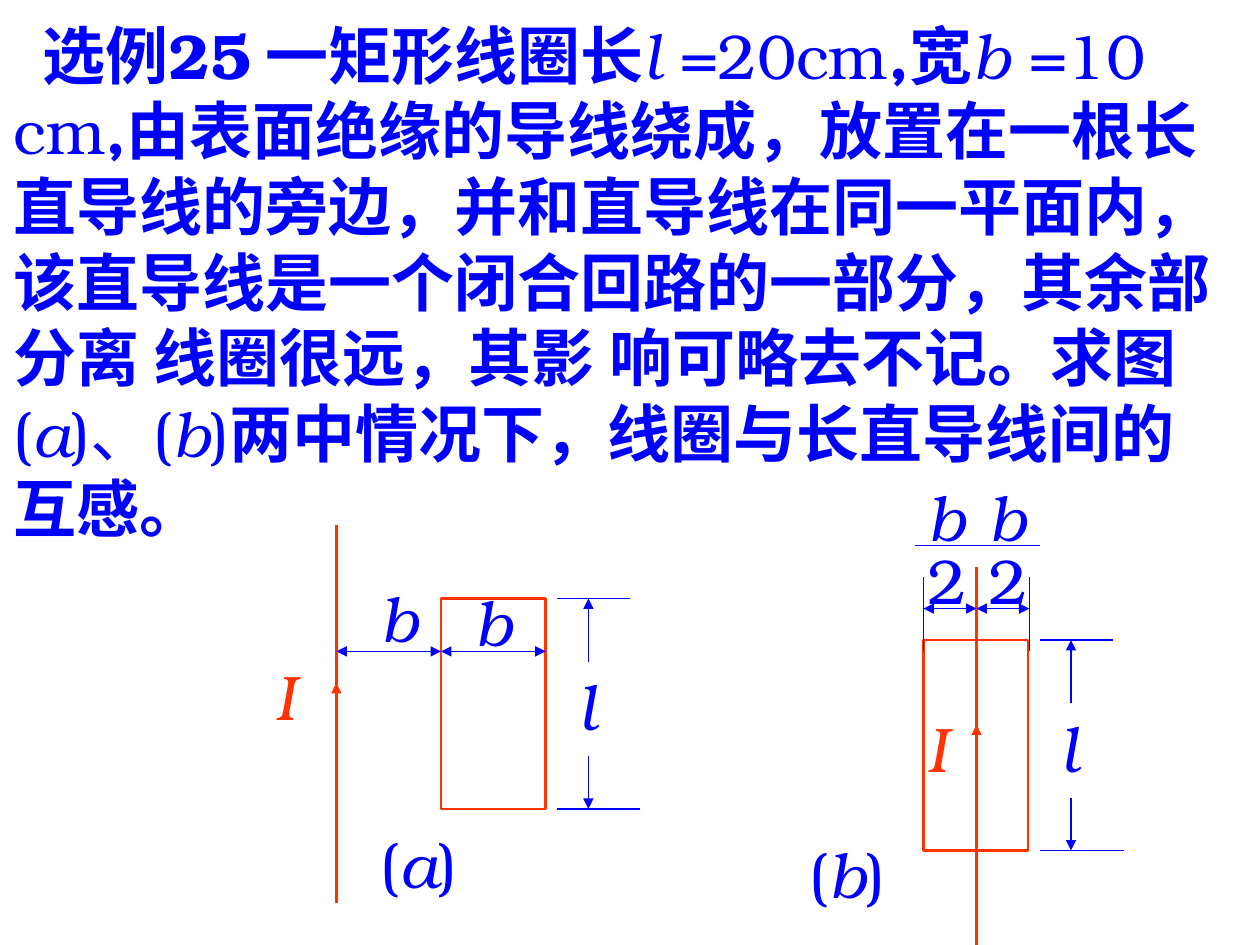
import pptx
import pptx.util
import pptx.dml.color
import pptx.enum.shapes
import pptx.enum.text
import pptx.oxml.ns
import lxml.etree

BLUE = pptx.dml.color.RGBColor(0x00, 0x00, 0xFF)
RED = pptx.dml.color.RGBColor(0xFF, 0x33, 0x00)
FONT = "TeX Gyre Bonum"
UNIT = 1 / 12
TEXT_HEIGHT = 0.7
FIRST_INDENT = 0.23
TITLE_TAB = 2.45

PROBLEM = [
    [("选例25\t一矩形线圈长", "bold"), ("l ", "italic"), ("=20cm", ""),
     (",宽", "bold"), ("b ", "italic"), ("=10", "")],
    [("cm", ""), (",由表面绝缘的导线绕成，放置在一根长", "bold")],
    [("直导线的旁边，并和直导线在同一平面内，", "bold")],
    [("该直导线是一个闭合回路的一部分，其余部", "bold")],
    [("分离 线圈很远，其影 响可略去不记。求图", "bold")],
    [("(", ""), ("a", "italic"), (")、(", ""), ("b", "italic"), (")", ""),
     ("两中情况下，线圈与长直导线间的", "bold")],
    [("互感。", "bold")],
]

COIL_WIDTH, COIL_HEIGHT = 10, 20
WIRE_TOP, WIRE_ARROW, WIRE_BOTTOM = -7, 8, 29

FIGURES = [
    {
        "origin": (42, 57), "wire": -10, "current": (-16.9, 5),
        "caption": ("a", -7, 21),
        "spans": [(-10, 0), (0, 10)], "span_row": 5,
        "labels": [("b", "italic", -6.9, -2.4), ("b", "italic", 2, -2)],
        "plain_lines": [],
    },
    {
        "origin": (88, 61), "wire": 5, "current": (-0.9, 6),
        "caption": ("b", -12, 18),
        "spans": [(0, 5), (5, 10)], "span_row": -3,
        "labels": [(text, style, column, row)
                   for text, style, row in (("b", "italic", -16), ("2", "", -10))
                   for column in (-0.9, 5)],
        "plain_lines": [(-0.9, -9, 5, -9), (5, -9, 11, -9),
                        (0, -6, 0, 1), (10, -6, 10, 1)],
    },
]


def grid(value):
    return pptx.util.Inches(round(value * UNIT, 2))


def add_text(shapes, left, top, width, height, lines, color):
    box = shapes.add_textbox(left, top, *map(pptx.util.Inches, (width, height)))
    frame = box.text_frame
    frame.word_wrap = False
    frame.auto_size = pptx.enum.text.MSO_AUTO_SIZE.SHAPE_TO_FIT_TEXT
    for index, runs in enumerate(lines):
        para = frame.paragraphs[0] if index == 0 else frame.add_paragraph()
        for text, style in runs:
            span = para.add_run()
            span.text = text
            span.font.name = FONT
            span.font.size = pptx.util.Pt(36)
            span.font.bold = style == "bold"
            span.font.italic = style == "italic"
            span.font.color.rgb = color
    return box


def add_line(shapes, ends, color, weight, arrows=()):
    line = shapes.add_connector(
        pptx.enum.shapes.MSO_CONNECTOR.STRAIGHT, *map(grid, ends))
    line.line.color.rgb = color
    line.line.width = pptx.util.Pt(weight)
    outline = line.line._get_or_add_ln()
    for name in arrows:
        lxml.etree.SubElement(outline, pptx.oxml.ns.qn("a:" + name), type="triangle")
    properties = line._element.spPr
    lxml.etree.SubElement(properties, pptx.oxml.ns.qn("a:effectLst"))


def add_figure(page, figure):
    shapes = page.shapes.add_group_shape().shapes
    left, top = figure["origin"]

    def line(x1, y1, x2, y2, color=BLUE, weight=0.75, arrows=()):
        add_line(shapes, (left + x1, top + y1, left + x2, top + y2),
                 color, weight, arrows)

    def label(runs, column, row, width, color=BLUE):
        add_text(shapes, grid(left + column), grid(top + row),
                 width, TEXT_HEIGHT, [runs], color)

    coil = shapes.add_shape(
        pptx.enum.shapes.MSO_SHAPE.RECTANGLE,
        *map(grid, (left, top, COIL_WIDTH, COIL_HEIGHT)))
    coil.shadow.inherit = False
    coil.fill.background()
    coil.line.color.rgb = RED
    coil.line.width = pptx.util.Pt(1.5)

    wire = figure["wire"]
    line(wire, WIRE_TOP, wire, WIRE_BOTTOM, RED, 1.5)
    line(wire, WIRE_ARROW, wire, WIRE_BOTTOM, RED, 1.5, ("headEnd",))

    row = figure["span_row"]
    for start, end in figure["spans"]:
        line(start, row, end, row, arrows=("headEnd", "tailEnd"))
    for ends in figure["plain_lines"]:
        line(*ends)

    line(11, 0, 18, 0)
    line(11, COIL_HEIGHT, 19, COIL_HEIGHT)
    line(14, 6, 14, 0, arrows=("tailEnd",))
    line(14, 15, 14, COIL_HEIGHT, arrows=("tailEnd",))

    label([("l", "italic")], 11.9, 6, 0.34)
    label([("I", "italic")], *figure["current"], 0.36, RED)
    for text, style, column, label_row in figure["labels"]:
        label([(text, style)], column, label_row, 0.51)
    letter, column, caption_row = figure["caption"]
    label([("(", ""), (letter, "italic"), (")", "")], column, caption_row, 0.82)


def main():
    deck = pptx.Presentation()
    deck.slide_width = pptx.util.Inches(10)
    deck.slide_height = pptx.util.Inches(7.5)
    page = deck.slides.add_slide(deck.slide_layouts[6])
    problem = add_text(page.shapes, pptx.util.Inches(0.01), pptx.util.Inches(0.08),
                       10.04, 4.3, PROBLEM, BLUE)
    first = problem.text_frame.paragraphs[0]._p.get_or_add_pPr()
    first.set("marL", "0")
    first.set("indent", str(pptx.util.Inches(FIRST_INDENT)))
    stops = lxml.etree.SubElement(first, pptx.oxml.ns.qn("a:tabLst"))
    lxml.etree.SubElement(stops, pptx.oxml.ns.qn("a:tab"),
                          pos=str(pptx.util.Inches(TITLE_TAB)), algn="l")
    for figure in FIGURES:
        add_figure(page, figure)
    deck.save("out.pptx")


if __name__ == "__main__":
    main()
